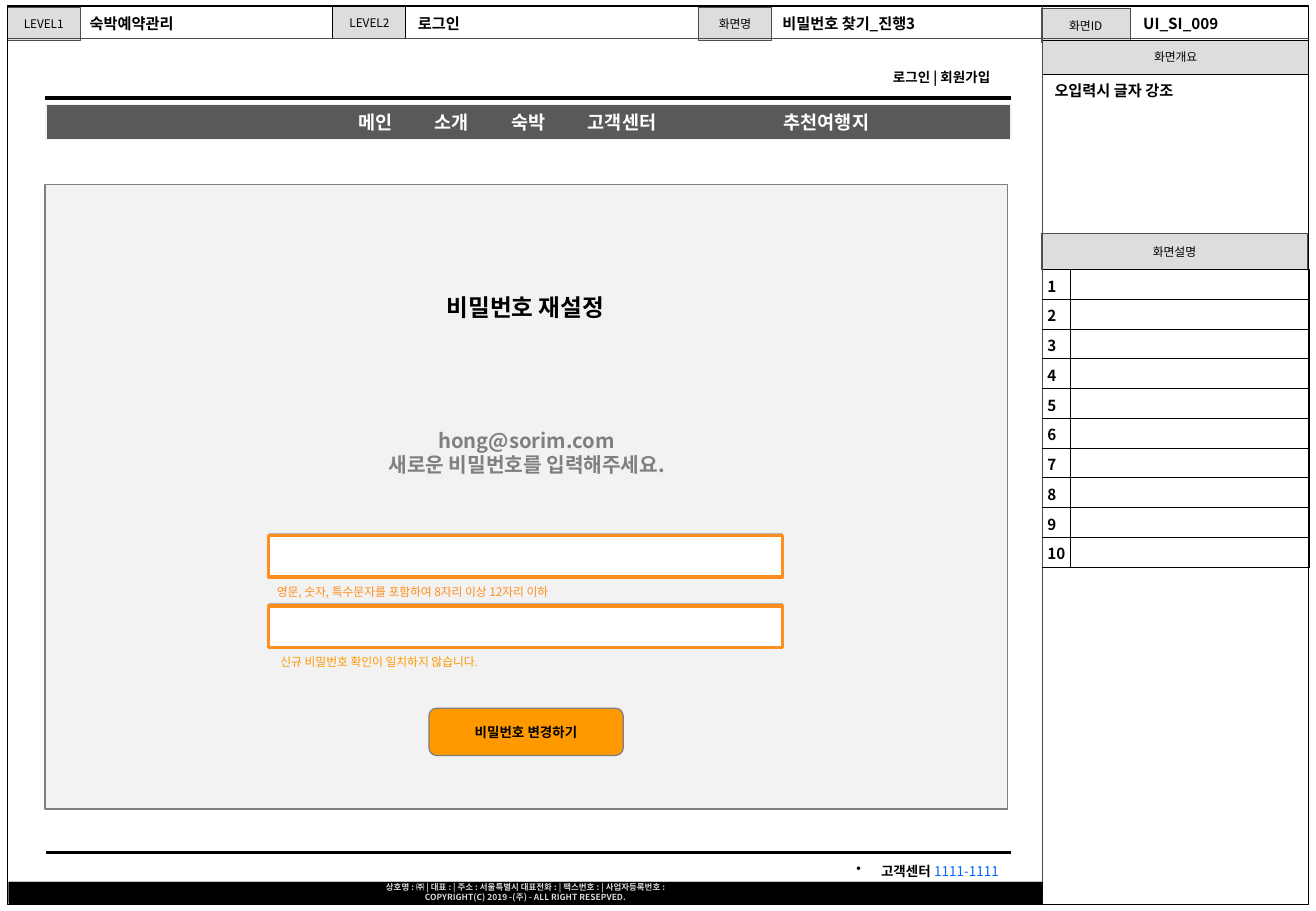
"""Build the password reset screen sheet of a lodging reservation site."""
from lxml.etree import SubElement
from pptx import Presentation
from pptx.dml.color import RGBColor
from pptx.enum.shapes import MSO_CONNECTOR, MSO_SHAPE
from pptx.enum.text import MSO_ANCHOR, MSO_AUTO_SIZE, PP_ALIGN
from pptx.oxml.ns import qn
from pptx.util import Inches, Pt

FONT = "Noto Sans CJK KR"
LINE_HEIGHT = 1.22
LEFT, CENTER, RIGHT = PP_ALIGN.LEFT, PP_ALIGN.CENTER, PP_ALIGN.RIGHT

deck = Presentation()
deck.slide_width, deck.slide_height = Inches(10.83), Inches(7.5)
page = deck.slides.add_slide(deck.slide_layouts[5])


def add_block(area, fill=None, line=None, weight=0.75, kind=MSO_SHAPE.RECTANGLE):
    block = page.shapes.add_shape(kind, *map(Inches, area))
    block.shadow.inherit = False
    if fill:
        block.fill.solid()
        block.fill.fore_color.rgb = RGBColor.from_string(fill)
    else:
        block.fill.background()
    if line:
        block.line.color.rgb = RGBColor.from_string(line)
        block.line.width = Pt(weight)
    else:
        block.line.fill.background()
    return block


def write(frame, text, size, color="000000", bold=False, align=LEFT,
          anchor=MSO_ANCHOR.TOP, inset=0.05):
    frame.text = text
    frame.word_wrap = True
    frame.vertical_anchor = anchor
    frame.margin_left = frame.margin_right = Inches(0.1)
    frame.margin_top = frame.margin_bottom = Inches(inset)
    for para in frame.paragraphs:
        para.alignment = align
        para.line_spacing = Pt(size * LINE_HEIGHT)
        for span in para.runs:
            span.font.size = Pt(size)
            span.font.bold = bold
            span.font.name = FONT
            span.font.color.rgb = RGBColor.from_string(color)
            SubElement(span.font._element, qn("a:ea"), typeface=FONT)


labels = [
    ("LEVEL1", (0.06, 0.06, 0.6, 0.27), "4D4D4D"),
    ("화면명", (5.75, 0.06, 0.6, 0.27), "4D4D4D"),
    ("화면설명", (8.57, 1.92, 2.19, 0.3), "4D4D4D"),
    ("화면ID", (8.57, 0.07, 0.73, 0.28), "4D4D4D"),
    ("화면개요", (8.58, 0.33, 2.19, 0.28), "000000"),
    ("LEVEL2", (2.74, 0.05, 0.6, 0.27), "000000"),
]
for text, area, line in labels:
    label = add_block(area, "DDDDDD", line, 0.5)
    write(label.text_frame, text, 7, align=CENTER, anchor=MSO_ANCHOR.MIDDLE)

add_block((0.06, 0.05, 10.71, 7.4), line="000000")

rules = [
    (8.58, 0.05, 8.58, 7.45, "4D4D4D", 0.75),
    (0.07, 0.32, 10.77, 0.32, "4D4D4D", 0.5),
    (0.37, 0.81, 8.32, 0.81, "000000", 2.25),
    (0.38, 7.02, 8.32, 7.02, "000000", 2),
]
for *ends, color, weight in rules:
    rule = page.shapes.add_connector(MSO_CONNECTOR.STRAIGHT, *map(Inches, ends))
    rule.line.color.rgb = RGBColor.from_string(color)
    rule.line.width = Pt(weight)
    SubElement(rule._element.spPr, qn("a:effectLst"))

menu = add_block((0.38, 0.86, 7.94, 0.29), "595959", "F2F2F2")
write(menu.text_frame, "\t메인\t소개\t숙박\t고객센터", 11, "FFFFFF", True)
tabs = SubElement(menu.text_frame.paragraphs[0]._p.get_or_add_pPr(), qn("a:tabLst"))
for index in range(4):
    SubElement(tabs, qn("a:tab"), pos=str(Inches(2.47 + 0.63 * index)), algn="l")

add_block((0.07, 7.26, 8.51, 0.19), "000000")
footer = add_block((0.07, 7.26, 8.51, 0.17), "000000")
write(footer.text_frame,
      "상호명 : ㈜ | 대표 : | 주소 : 서울특별시 대표전화 : | 팩스번호 : | 사업자등록번호 :\n"
      "COPYRIGHT(C) 2019 -(주) - ALL RIGHT RESEPVED.",
      5, "D8D8D8", True, CENTER, inset=0)

panel = add_block((0.37, 1.52, 7.92, 5.14), "F2F2F2", "7F7F7F")
title = page.shapes.title
panel._element.addnext(title._element)
title.left, title.top, title.width, title.height = map(Inches, (2.76, 2.36, 3.13, 0.34))
write(title.text_frame, "비밀번호 재설정", 14, bold=True, align=CENTER)
title.text_frame.auto_size = MSO_AUTO_SIZE.NONE

button = add_block((3.53, 5.83, 1.6, 0.39), "FF9900", "7F7F7F",
                   kind=MSO_SHAPE.ROUNDED_RECTANGLE)
write(button.text_frame, "비밀번호 변경하기", 8, bold=True, align=CENTER,
      anchor=MSO_ANCHOR.MIDDLE)

for top in (4.39, 4.97):
    add_block((2.22, top, 4.22, 0.36), "FFFFFF", "B2B2B2")
    add_block((2.21, top + 0.02, 4.23, 0.34), line="FF8E1D", weight=2)

texts = [
    ("로그인 | 회원가입", (7.25, 0.52, 1.2, 0.24), 8, "000000", True, LEFT),
    ("추천여행지", (6.35, 0.86, 1.69, 0.29), 11, "FFFFFF", True, LEFT),
    ("hong@sorim.com\n새로운 비밀번호를 입력해주세요.", (1.72, 3.47, 5.23, 0.5),
     12, "7F7F7F", True, CENTER),
    ("신규 비밀번호 확인이 일치하지 않습니다.", (2.21, 5.34, 2.03, 0.22),
     7, "FF9900", False, LEFT),
    ("영문, 숫자, 특수문자를 포함하여 8자리 이상 12자리 이하", (2.18, 4.76, 2.71, 0.22),
     7, "FF8E1D", False, LEFT),
    ("숙박예약관리", (0.64, 0.07, 1.31, 0.25), 9, "000000", True, LEFT),
    ("로그인", (3.34, 0.07, 1.67, 0.25), 9, "000000", True, LEFT),
    ("비밀번호 찾기_진행3", (6.34, 0.07, 1.52, 0.25), 9, "000000", True, LEFT),
    ("오입력시 글자 강조", (8.58, 0.62, 2.2, 0.24), 9, "000000", True, LEFT),
    ("UI_SI_009", (9.31, 0.07, 1.52, 0.25), 9, "000000", True, LEFT),
    (" 고객센터 ", (6.95, 7.05, 1.37, 0.24), 8, "000000", True, RIGHT),
]
for text, area, size, color, bold, align in texts:
    box = page.shapes.add_textbox(*map(Inches, area))
    write(box.text_frame, text, size, color, bold, align)

contact = box.text_frame.paragraphs[0]
SubElement(contact._p.get_or_add_pPr(), qn("a:buChar"), char="•")
phone = contact.add_run()
phone.text = "1111-1111"
phone.font.size, phone.font.bold, phone.font.name = Pt(8), False, FONT
phone.font.color.rgb = RGBColor.from_string("0066FF")

notes = page.shapes.add_table(10, 2, Inches(8.58), Inches(2.22),
                              Inches(2.2), Inches(2.45)).table
notes.first_row = notes.horz_banding = False
notes.columns[0].width, notes.columns[1].width = Inches(0.23), Inches(1.97)
for number, row in enumerate(notes.rows, 1):
    for column, cell in enumerate(row.cells):
        cell.margin_left = cell.margin_right = Inches(0.04)
        cell.margin_top, cell.margin_bottom = Inches(0.07), Inches(0.02)
        for side in ("a:lnL", "a:lnR", "a:lnT", "a:lnB"):
            border = SubElement(cell._tc.get_or_add_tcPr(), qn(side), w=str(Pt(0.75)))
            ink = SubElement(border, qn("a:solidFill"))
            outer = column == 0 and side == "a:lnL"
            SubElement(ink, qn("a:srgbClr"), val="4D4D4D" if outer else "000000")
        cell.fill.background()
        para = cell.text_frame.paragraphs[0]
        para.line_spacing = Pt(9 * LINE_HEIGHT)
        if column == 0:
            para.text = str(number)
            span = para.runs[0]
            span.font.size, span.font.bold, span.font.name = Pt(9), True, FONT
            span.font.color.rgb = RGBColor.from_string("000000")
        else:
            SubElement(para._p, qn("a:endParaRPr"), sz="900")

deck.save("out.pptx")
